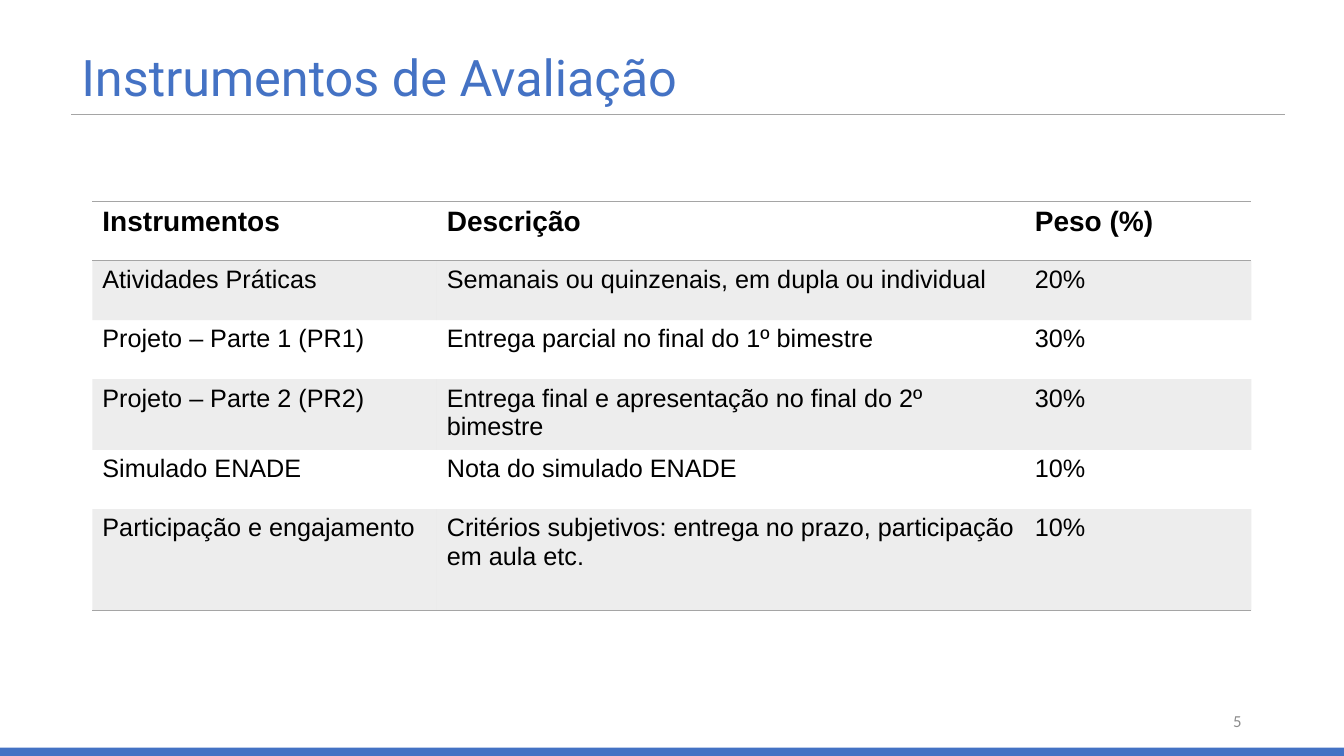
from lxml import etree
from pptx import Presentation
from pptx.dml.color import RGBColor
from pptx.enum.shapes import MSO_CONNECTOR, MSO_SHAPE
from pptx.enum.text import MSO_ANCHOR, PP_ALIGN
from pptx.oxml.ns import qn
from pptx.util import Inches, Pt

RECTANGLE = MSO_SHAPE.RECTANGLE
STRAIGHT = MSO_CONNECTOR.STRAIGHT
MIDDLE, TOP = MSO_ANCHOR.MIDDLE, MSO_ANCHOR.TOP
LEFT, RIGHT = PP_ALIGN.LEFT, PP_ALIGN.RIGHT

THEME = {
    "blue": "4472C4", "gray": "A5A5A5", "muted": "8C8C8C", "black": "000000",
    "title": 36, "header": 20, "body": 18, "number": 12,
    "band_alpha": 20, "rule": 1,
}
NO_STYLE = "{2D5ABB26-0587-4C30-8999-92F81FD0307C}"

COLUMNS, ROWS = 160, 90
UNIT = Inches(13.3333) / COLUMNS


def grid(*counts):
    return [round(count * UNIT) for count in counts]


def write(frame, text, *, size, font="Arial", color="black", bold=False,
          align=LEFT, anchor=TOP, spacing=1.0):
    frame.word_wrap = True
    frame.vertical_anchor = anchor
    para = frame.paragraphs[0]
    para.alignment = align
    para.line_spacing = spacing
    span = para.add_run()
    span.text = text
    span.font.name = font
    span.font.size = Pt(THEME[size])
    span.font.bold = bold
    span.font.color.rgb = RGBColor.from_string(THEME[color])


deck = Presentation()
deck.slide_width, deck.slide_height = grid(COLUMNS, ROWS)
page = deck.slides.add_slide(deck.slide_layouts[6])

footer_bar = page.shapes.add_shape(RECTANGLE, *grid(0, ROWS - 1, COLUMNS, 1))
footer_bar.shadow.inherit = False
footer_bar.fill.solid()
footer_bar.fill.fore_color.rgb = RGBColor.from_string(THEME["blue"])
footer_bar.line.fill.background()

title_box = page.shapes.add_textbox(*grid(8.5, 3.6, 144.6, 12))
write(title_box.text_frame, "Instrumentos de Avaliação", size="title",
      font="Roboto", color="blue", anchor=MIDDLE, spacing=0.9)

number_box = page.shapes.add_textbox(*grid(113, 83.4, 36, 4.8))
write(number_box.text_frame, "5", size="number", font="Calibri",
      color="muted", align=RIGHT, anchor=MIDDLE)

title_rule = page.shapes.add_connector(STRAIGHT, *grid(8.5, 13.6, 153, 13.6))
title_rule.line.color.rgb = RGBColor.from_string(THEME["gray"])
title_rule.line.width = Pt(THEME["rule"])
etree.SubElement(title_rule._element.spPr, qn("a:effectLst"))

assessments = [
    ("Instrumentos", "Descrição", "Peso (%)"),
    ("Atividades Práticas", "Semanais ou quinzenais, em dupla ou individual", "20%"),
    ("Projeto – Parte 1 (PR1)", "Entrega parcial no final do 1º bimestre", "30%"),
    ("Projeto – Parte 2 (PR2)", "Entrega final e apresentação no final do 2º bimestre", "30%"),
    ("Simulado ENADE", "Nota do simulado ENADE", "10%"),
    ("Participação e engajamento",
     "Critérios subjetivos: entrega no prazo, participação em aula etc.", "10%"),
]
column_spans = [41, 70, 27]
last = len(assessments) - 1
row_spans = [7.05] * last + [12.1]

table_frame = page.shapes.add_table(
    len(row_spans), len(column_spans),
    *grid(11, 24, sum(column_spans), sum(row_spans)))
table = table_frame.table
table._tbl.tblPr.find(qn("a:tableStyleId")).text = NO_STYLE
for column, width in zip(table.columns, grid(*column_spans)):
    column.width = width
for row, height in zip(table.rows, grid(*row_spans)):
    row.height = height

for row_index, texts in enumerate(assessments):
    is_header = row_index == 0
    edges = {0: ["a:lnT", "a:lnB"], last: ["a:lnB"]}.get(row_index, [])
    for column_index, text in enumerate(texts):
        cell = table.cell(row_index, column_index)
        write(cell.text_frame, text, size="header" if is_header else "body",
              bold=is_header)
        properties = cell._tc.get_or_add_tcPr()
        for edge in edges:
            border = etree.SubElement(properties, qn(edge), w=str(Pt(THEME["rule"])))
            paint = etree.SubElement(border, qn("a:solidFill"))
            etree.SubElement(paint, qn("a:srgbClr"), val=THEME["gray"])
        if row_index % 2:
            cell.fill.solid()
            cell.fill.fore_color.rgb = RGBColor.from_string(THEME["gray"])
            tint = properties.find(qn("a:solidFill")).find(qn("a:srgbClr"))
            etree.SubElement(tint, qn("a:alpha"), val=str(THEME["band_alpha"] * 1000))
        else:
            cell.fill.background()

deck.save("out.pptx")
